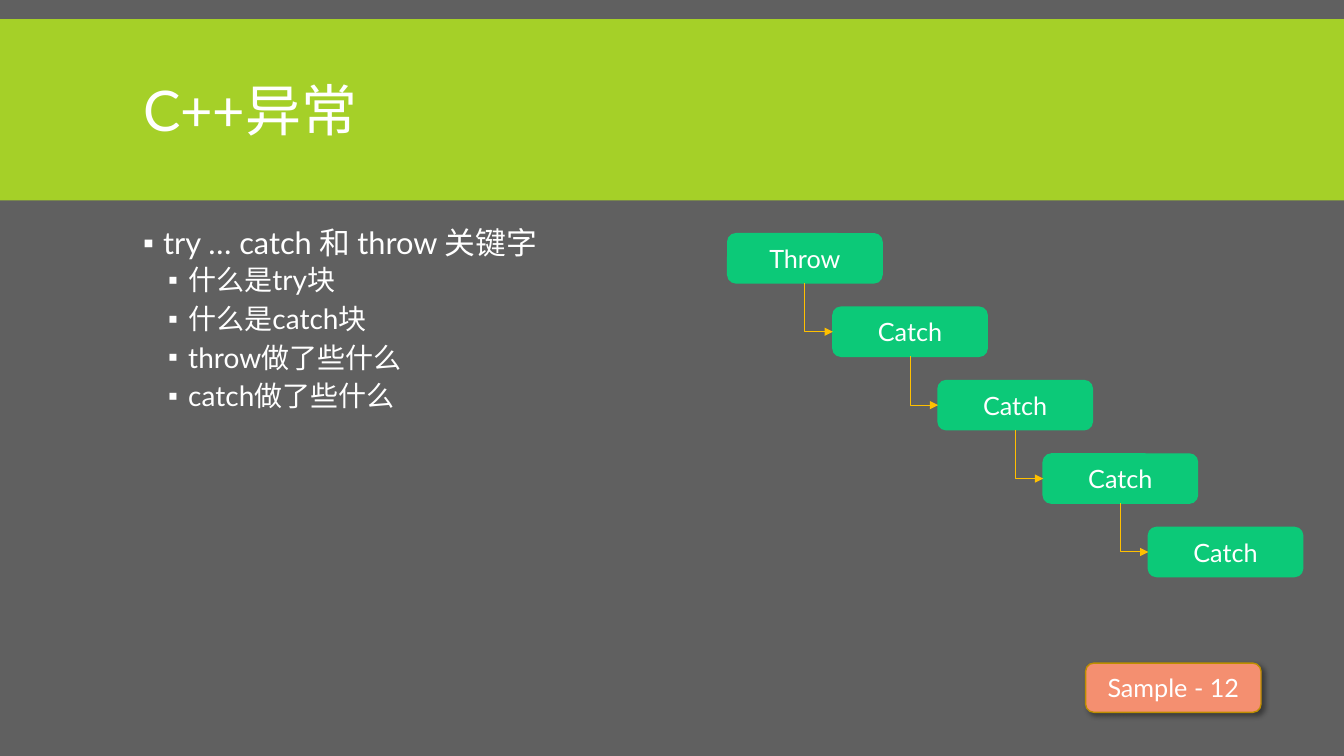
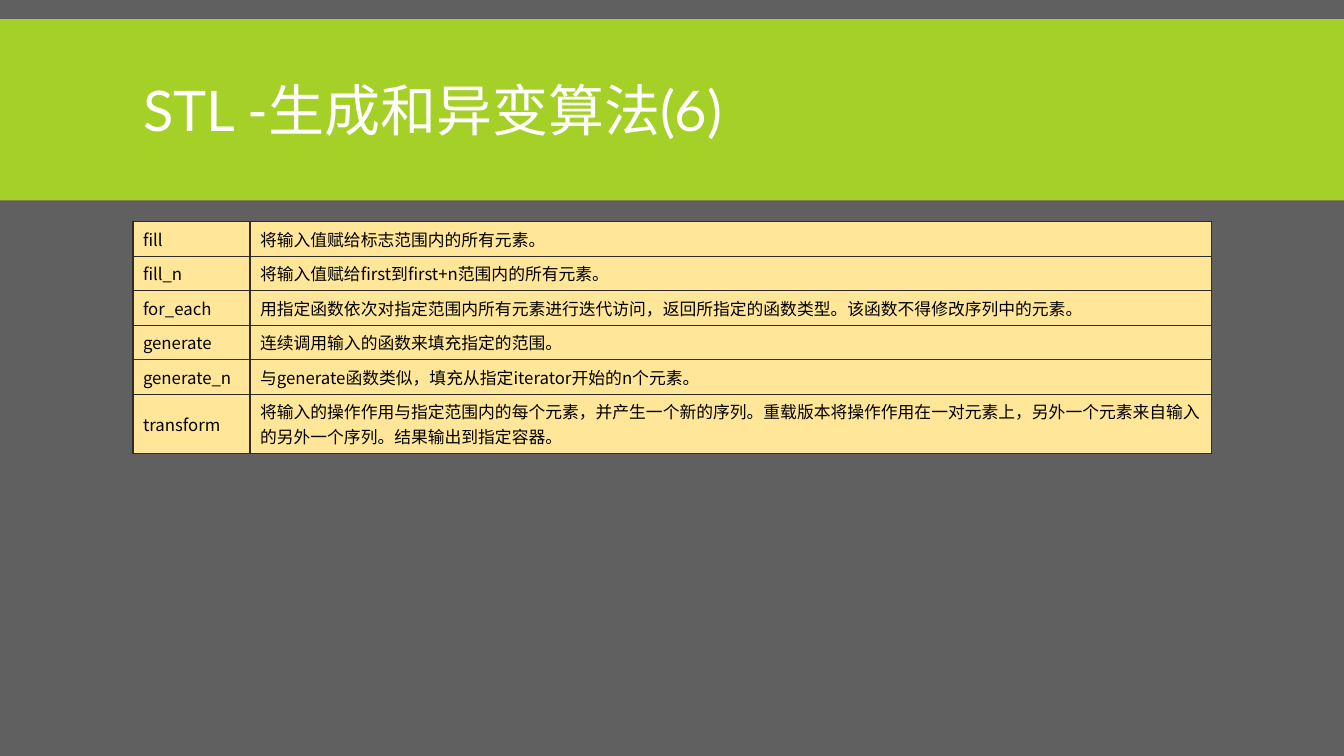
"""Build two slides on C++ exceptions and STL generating and mutating algorithms."""
import dataclasses

import lxml.etree
import pptx
import pptx.dml.color
import pptx.enum.shapes
import pptx.enum.text
import pptx.oxml
import pptx.oxml.ns
import pptx.util

Cm = pptx.util.Cm
Pt = pptx.util.Pt
qn = pptx.oxml.ns.qn
Rgb = pptx.dml.color.RGBColor.from_string
Preset = pptx.enum.shapes.MSO_SHAPE
Align = pptx.enum.text.PP_ALIGN
Anchor = pptx.enum.text.MSO_ANCHOR


@dataclasses.dataclass(frozen=True)
class Theme:
    background: str = "606060"
    band: str = "A5D028"
    light: str = "FFFFFF"
    dark: str = "000000"
    step: str = "0CC978"
    arrow: str = "FFC000"
    sample: str = "F48F70"
    sample_line: str = "BD8E00"
    cell: str = "FFE699"
    border: str = "2C2C2C"
    font: str = "Lato"
    asian_font: str = "Noto Sans CJK SC"
    title_size: int = 40
    body_sizes: tuple = (22, 20)
    box_size: int = 18
    cell_size: int = 12


theme = Theme()


def style_spans(para, size, colour=theme.light, font=theme.font):
    for span in para.runs:
        span.font.size = Pt(size)
        span.font.color.rgb = Rgb(colour)
        span.font.name = font
        asian = lxml.etree.SubElement(span.font._element, qn("a:ea"))
        asian.set("typeface", theme.asian_font)


def add_box(page, preset, place, fill, line=None, text=""):
    box = page.shapes.add_shape(preset, *map(Cm, place))
    box.shadow.inherit = False
    box.fill.solid()
    box.fill.fore_color.rgb = Rgb(fill)
    if line:
        box.line.color.rgb = Rgb(line)
        box.line.width = Pt(1)
    else:
        box.line.fill.background()
    box.text_frame.text = text
    box.text_frame.vertical_anchor = Anchor.MIDDLE
    para = box.text_frame.paragraphs[0]
    para.alignment = Align.CENTER
    style_spans(para, theme.box_size)
    return box


deck = pptx.Presentation()
deck.slide_width = Cm(33.87)
deck.slide_height = Cm(19.05)
margin, content_width = 3.35, 27.18

master = deck.slide_master
master.background.fill.solid()
master.background.fill.fore_color.rgb = Rgb(theme.background)

pages = []
for layout_index, heading in ((1, "C++异常"), (5, "STL -生成和异变算法(6)")):
    page = deck.slides.add_slide(deck.slide_layouts[layout_index])
    title = page.shapes.title
    title.left, title.top = Cm(margin), Cm(0.79)
    title.width, title.height = Cm(content_width), Cm(4.19)
    title.text_frame.text = heading
    title.text_frame.auto_size = pptx.enum.text.MSO_AUTO_SIZE.NONE
    title.text_frame.vertical_anchor = Anchor.MIDDLE
    para = title.text_frame.paragraphs[0]
    para.alignment = Align.LEFT
    para.line_spacing = 0.85
    style_spans(para, theme.title_size)
    pages.append(page)
exception_page, algorithm_page = pages

band = add_box(exception_page, Preset.RECTANGLE, (0, 0.48, 33.87, 4.57), theme.band)
master.shapes._spTree.insert(2, band._element)

body = exception_page.placeholders[1]
body.left, body.top = Cm(margin), Cm(5.61)
body.width, body.height = Cm(content_width), Cm(11.68)
body.text_frame.auto_size = pptx.enum.text.MSO_AUTO_SIZE.NONE
points = (
    (0, "try … catch 和 throw 关键字"),
    (1, "什么是try块"),
    (1, "什么是catch块"),
    (1, "throw做了些什么"),
    (1, "catch做了些什么"),
)
body.text_frame.text = "\n".join(text for level, text in points)
for para, (level, text) in zip(body.text_frame.paragraphs, points):
    para.level = level
    para.line_spacing = 0.9
    para.space_before = Pt((12, 2)[level])
    para.space_after = Pt((2, 4)[level])
    style_spans(para, theme.body_sizes[level])
    settings = para._element.get_or_add_pPr()
    settings.set("marL", str(Cm((0.51, 1.14)[level])))
    settings.set("indent", str(Cm(-0.51)))
    bullet_colour = lxml.etree.SubElement(settings, qn("a:buClr"))
    lxml.etree.SubElement(bullet_colour, qn("a:srgbClr")).set("val", theme.light)
    lxml.etree.SubElement(settings, qn("a:buChar")).set("char", "▪")

steps = [
    add_box(exception_page, Preset.ROUNDED_RECTANGLE,
            (18.34 + 2.65 * index, 5.89 + 1.85 * index, 3.89, 1.24),
            theme.step, theme.step, label)
    for index, label in enumerate(["Throw"] + ["Catch"] * 4)
]
for upper, lower in zip(steps, steps[1:]):
    start_x, start_y = upper.left + upper.width // 2, upper.top + upper.height
    end_x, end_y = lower.left, lower.top + lower.height // 2
    across, down = end_x - start_x, end_y - start_y
    arrow = exception_page.shapes.add_connector(
        pptx.enum.shapes.MSO_CONNECTOR.ELBOW, start_x, start_y, end_x, end_y)
    arrow.begin_connect(upper, 2)
    arrow.end_connect(lower, 1)
    arrow.left = start_x + (across - down) // 2
    arrow.top = start_y + (down - across) // 2
    arrow.width, arrow.height = down, across
    arrow.line.color.rgb = Rgb(theme.arrow)
    arrow.line.width = Pt(0.75)
    properties = arrow._element.spPr
    properties.find(qn("a:prstGeom")).set("prst", "bentConnector2")
    frame = properties.find(qn("a:xfrm"))
    frame.set("rot", str(270 * 60000))
    frame.set("flipH", "1")
    lxml.etree.SubElement(properties.find(qn("a:ln")), qn("a:tailEnd")).set("type", "triangle")
    lxml.etree.SubElement(properties, qn("a:effectLst"))

sample = add_box(exception_page, Preset.ROUNDED_RECTANGLE, (27.36, 16.71, 4.42, 1.24),
                 theme.sample, theme.sample_line, "Sample - 12")
effects = sample._element.spPr.find(qn("a:effectLst"))
shadow = lxml.etree.SubElement(effects, qn("a:outerShdw"), blurRad=str(Pt(4)),
                               dist=str(Pt(3)), dir=str(45 * 60000), algn="tl")
shade = lxml.etree.SubElement(shadow, qn("a:srgbClr"), val=theme.dark)
lxml.etree.SubElement(shade, qn("a:alpha"), val="40000")

algorithms = (
    ("fill", "将输入值赋给标志范围内的所有元素。"),
    ("fill_n", "将输入值赋给first到first+n范围内的所有元素。"),
    ("for_each", "用指定函数依次对指定范围内所有元素进行迭代访问，返回所指定的函数类型。"
                 "该函数不得修改序列中的元素。"),
    ("generate", "连续调用输入的函数来填充指定的范围。"),
    ("generate_n", "与generate函数类似，填充从指定iterator开始的n个元素。"),
    ("transform", "将输入的操作作用与指定范围内的每个元素，并产生一个新的序列。"
                  "重载版本将操作作用在一对元素上，另外一个元素来自输入的另外一个序列。"
                  "结果输出到指定容器。"),
)
row_height = 0.84
table = algorithm_page.shapes.add_table(
    len(algorithms), 2, Cm(margin), Cm(5.59),
    Cm(content_width), Cm(row_height * len(algorithms))).table
table.first_row = False
table.horz_banding = False
for column, width in zip(table.columns, (2.95, 24.23)):
    column.width = Cm(width)
for row, texts in zip(table.rows, algorithms):
    row.height = Cm(row_height)
    for cell, text in zip(row.cells, texts):
        cell.text_frame.text = text
        cell.vertical_anchor = Anchor.MIDDLE
        style_spans(cell.text_frame.paragraphs[0], theme.cell_size, theme.dark, theme.asian_font)
        settings = cell._tc.get_or_add_tcPr()
        for side in ("a:lnL", "a:lnR", "a:lnT", "a:lnB"):
            edge = lxml.etree.SubElement(settings, qn(side), w=str(Pt(1)))
            paint = lxml.etree.SubElement(edge, qn("a:solidFill"))
            lxml.etree.SubElement(paint, qn("a:srgbClr"), val=theme.border)
        cell.fill.solid()
        cell.fill.fore_color.rgb = Rgb(theme.cell)

deck.save("out.pptx")
